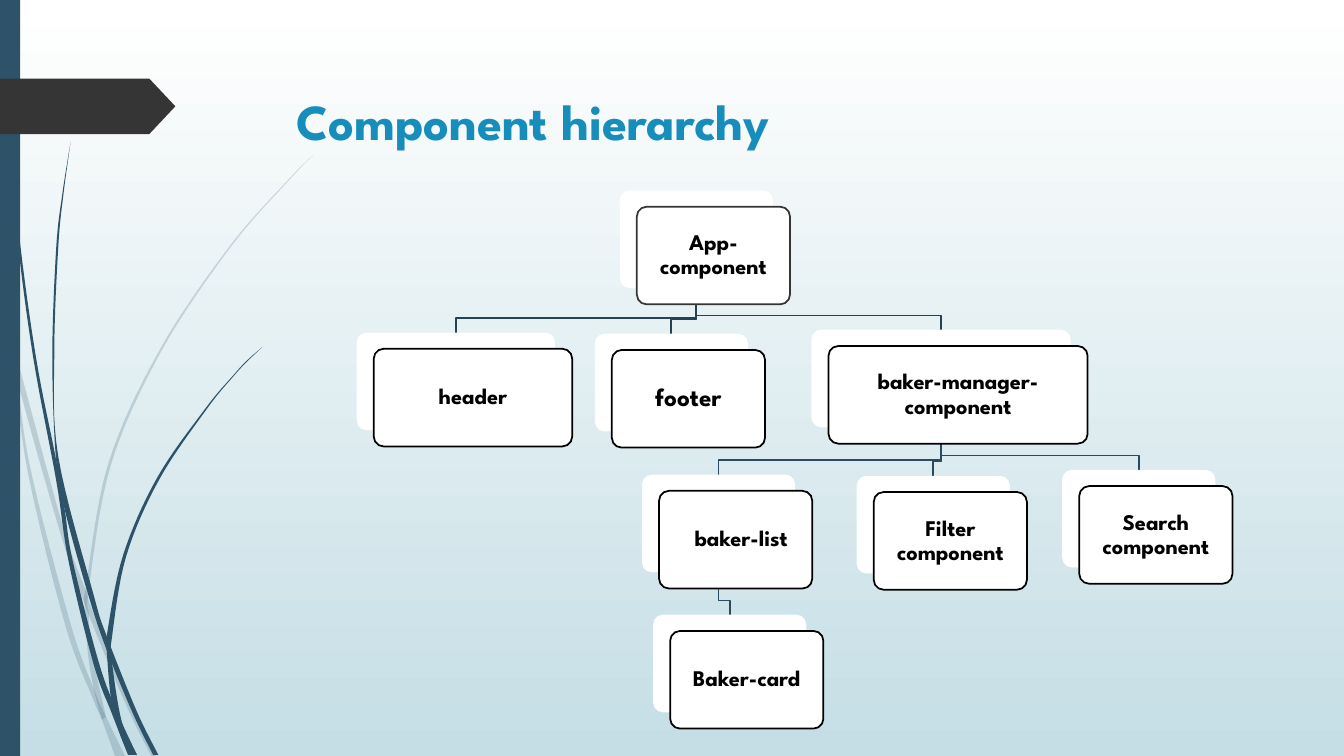
from lxml import etree
from pptx import Presentation
from pptx.dml.color import RGBColor
from pptx.enum.shapes import MSO_SHAPE
from pptx.enum.text import MSO_ANCHOR, PP_ALIGN
from pptx.oxml.ns import qn
from pptx.util import Cm, Pt

RECTANGLE = MSO_SHAPE.RECTANGLE
ROUNDED = MSO_SHAPE.ROUNDED_RECTANGLE
PENTAGON = MSO_SHAPE.PENTAGON
TOP, MIDDLE = MSO_ANCHOR.TOP, MSO_ANCHOR.MIDDLE
LEFT, CENTER = PP_ALIGN.LEFT, PP_ALIGN.CENTER

FONT = "League Spartan"
COLORS = {
    "white": "FFFFFF", "mist": "C5DEE5", "navy": "2E5369",
    "charcoal": "353535", "title": "178DBB", "black": "000000",
    "upper_link": "254254", "lower_link": "2A4B5F",
}
SLIDE_WIDTH, SLIDE_HEIGHT = 33.87, 19.05
CARD_HEIGHT = 2.46
CARD_SHIFT_X, CARD_SHIFT_Y = 0.43, 0.41
CARD_MARGIN = 0.18
LINK_DROP = 0.36

PALE_BLADES = [
    ([(0, 7.59), (0.28, 8.89), (0.71, 11.94), (1.65, 15.77), (2.34, 17.6),
      (2.57, 18.14), (2.9, 19.05)],
     [(0, 7.16), (0.23, 8.18), (0.43, 9.55), (0.79, 11.91), (1.78, 15.72),
      (2.36, 17.35), (2.67, 18.06), (3.15, 19.05)]),
    ([(0.36, 8.76), (0.43, 9.55), (1.47, 13.26), (2.13, 15.21), (3.12, 17.63),
      (3.81, 19.05)],
     [(0.36, 8.76), (1.57, 13.21), (2.16, 14.88), (2.34, 15.42), (3.23, 17.58),
      (3.94, 19.05)]),
    ([(7.92, 3.89), (7.34, 4.45), (5.79, 6.2), (4.01, 8.84), (2.72, 11.71),
      (2.16, 14.83), (2.13, 15.21), (2.21, 16.41), (2.36, 17.35), (2.57, 18.14)],
     [(7.92, 3.89), (7.37, 4.45), (5.82, 6.22), (4.06, 8.86), (2.79, 11.73),
      (2.24, 14.83), (2.24, 15.49), (2.31, 16.41), (2.67, 18.06)]),
]
DARK_BLADES = [
    ([(0.08, 0), (0.1, 1.22), (0.18, 2.79), (0.43, 5.92), (0.84, 9.02),
      (1.42, 12.12), (1.73, 14.15), (2.36, 16.74), (2.82, 17.98), (3.23, 19.02)],
     [(0.1, 0), (0.13, 1.22), (0.2, 2.77), (0.48, 5.89), (0.91, 9.02),
      (1.4, 11.51), (1.63, 12.83), (1.83, 14.12), (2.49, 16.69), (2.95, 17.93),
      (3.45, 19.02)]),
    ([(1.78, 3.58), (1.57, 4.9), (1.42, 6.22), (1.32, 8.86), (1.4, 11.4),
      (1.63, 12.83), (2.24, 15.04), (2.69, 16.38), (3.35, 17.98), (3.86, 19.02)],
     [(1.78, 3.58), (1.6, 4.9), (1.47, 6.22), (1.37, 8.86), (1.47, 11.51),
      (2.36, 14.99), (2.69, 16.03), (3.45, 17.93), (3.99, 19.02)]),
    ([(6.62, 8.74), (6.22, 9.09), (5.87, 9.47), (5.18, 10.29), (3.96, 12.04),
      (3.1, 14), (2.69, 16.03), (2.69, 16.38), (2.79, 17.55), (2.97, 18.34),
      (3.23, 19.02)],
     [(6.62, 8.74), (6.22, 9.12), (5.87, 9.5), (5.21, 10.31), (4.01, 12.09),
      (3.18, 14.02), (2.82, 16.08), (2.82, 16.66), (3.07, 18.19), (3.45, 19.02)]),
]

CARDS = {
    "App-component": {"left": 15.62, "top": 4.8, "outline": "charcoal"},
    "baker-manager-component": {"left": 20.45, "top": 8.31, "width": 6.53,
                                "parent": "App-component"},
    "Search component": {"left": 26.77, "top": 11.84,
                         "parent": "baker-manager-component"},
    "Filter component": {"left": 21.59, "top": 11.99,
                         "parent": "baker-manager-component"},
    "baker-list": {"left": 16.18, "top": 11.96, "indent": 0.28,
                   "parent": "baker-manager-component"},
    "Baker-card": {"left": 16.46, "top": 15.49, "parent": "baker-list"},
    "footer": {"left": 14.99, "top": 8.41, "size": 18, "parent": "App-component"},
    "header": {"left": 8.99, "top": 8.38, "width": 5, "parent": "App-component"},
}


def color(name):
    return RGBColor.from_string(COLORS[name])


def write(shape, text, size=16, ink="black", align=CENTER, anchor=MIDDLE,
          spacing=1.0, margins=(0.25, 0.13, 0.25, 0.13)):
    frame = shape.text_frame
    frame.word_wrap = True
    frame.vertical_anchor = anchor
    (frame.margin_left, frame.margin_top,
     frame.margin_right, frame.margin_bottom) = map(Cm, margins)
    para = frame.paragraphs[0]
    para.alignment = align
    para.line_spacing = spacing
    span = para.add_run()
    span.text = text
    span.font.name = FONT
    span.font.size = Pt(size)
    span.font.bold = True
    span.font.color.rgb = color(ink)


def smooth(points, steps=8):
    padded = [points[0], *points, points[-1]]
    curve = [points[0]]
    for a, b, c, d in zip(padded, padded[1:], padded[2:], padded[3:]):
        for step in range(1, steps + 1):
            t = step / steps
            curve.append(tuple(
                q + t * ((r - p) + t * ((2 * p - 5 * q + 4 * r - s)
                                        + t * (3 * q - p - 3 * r + s))) / 2
                for p, q, r, s in zip(a, b, c, d)))
    return curve


class HierarchySlide:
    def __init__(self, deck):
        self.page = deck.slides.add_slide(deck.slide_layouts[5])
        self.shapes = self.page.shapes

    def background(self, start, end):
        fill = self.page.background.fill
        fill.gradient()
        fill.gradient_angle = 270
        for stop, name in zip(fill.gradient_stops, (start, end)):
            stop.color.rgb = color(name)

    def title(self, text, left, top, width, height):
        box = self.shapes.title
        box.left, box.top, box.width, box.height = map(Cm, (left, top, width, height))
        write(box, text, size=36, ink="title", align=LEFT, anchor=TOP,
              margins=(0.25, 0.53, 0.25, 0.13))

    def finish(self, shape, fill=None, outline=None):
        shape.shadow.inherit = False
        if fill:
            shape.fill.solid()
            shape.fill.fore_color.rgb = color(fill)
        else:
            shape.fill.background()
        if outline:
            shape.line.color.rgb = color(outline)
            shape.line.width = Pt(1.25)
        else:
            shape.line.fill.background()
        return shape

    def preset(self, kind, left, top, width, height, fill, outline=None, adjust=None):
        shape = self.shapes.add_shape(kind, *map(Cm, (left, top, width, height)))
        if adjust is not None:
            shape.adjustments[0] = adjust
        return self.finish(shape, fill, outline)

    def outline(self, points, close, **style):
        vertices = [(Cm(x), Cm(y)) for x, y in points]
        builder = self.shapes.build_freeform(*vertices[0])
        builder.add_line_segments(vertices[1:], close=close)
        return self.finish(builder.convert_to_shape(), **style)

    def blade(self, left_edge, right_edge, opacity=100):
        points = smooth(left_edge) + smooth(right_edge)[::-1]
        shape = self.outline(points, True, fill="navy")
        if opacity < 100:
            tint = shape.fill._xPr.find(qn("a:solidFill"))[0]
            etree.SubElement(tint, qn("a:alpha")).set("val", str(opacity * 1000))

    def link(self, parent, child):
        start_x = parent["left"] + parent.get("width", 3.86) / 2
        end_x = child["left"] + child.get("width", 3.86) / 2
        bend = child["top"] - LINK_DROP
        ink = "lower_link" if "parent" in parent else "upper_link"
        self.outline([(start_x, parent["top"] + CARD_HEIGHT), (start_x, bend),
                      (end_x, bend), (end_x, child["top"])], False, outline=ink)

    def card(self, text, left, top, width=3.86, size=16, outline="black",
             indent=0, parent=None):
        self.preset(ROUNDED, left, top, width, CARD_HEIGHT, "white", adjust=0.1)
        front = self.preset(ROUNDED, left + CARD_SHIFT_X, top + CARD_SHIFT_Y, width,
                            CARD_HEIGHT, "white", outline, 0.1)
        write(front, text, size=size, spacing=0.9,
              margins=(CARD_MARGIN + indent, CARD_MARGIN, CARD_MARGIN, CARD_MARGIN))


def main():
    deck = Presentation()
    deck.slide_width, deck.slide_height = Cm(SLIDE_WIDTH), Cm(SLIDE_HEIGHT)
    slide = HierarchySlide(deck)
    slide.background("white", "mist")
    for edges in PALE_BLADES:
        slide.blade(*edges, opacity=20)
    for edges in DARK_BLADES:
        slide.blade(*edges)
    slide.preset(RECTANGLE, 0, 0, 0.51, SLIDE_HEIGHT, "navy")
    slide.preset(PENTAGON, 0, 1.98, 4.42, 1.4, "charcoal", adjust=0.47)
    slide.title("Component hierarchy", 7.21, 1.73, 24.77, 3.56)
    for card in CARDS.values():
        if "parent" in card:
            slide.link(CARDS[card["parent"]], card)
    for text, card in CARDS.items():
        slide.card(text, **card)
    deck.save("out.pptx")


if __name__ == "__main__":
    main()
